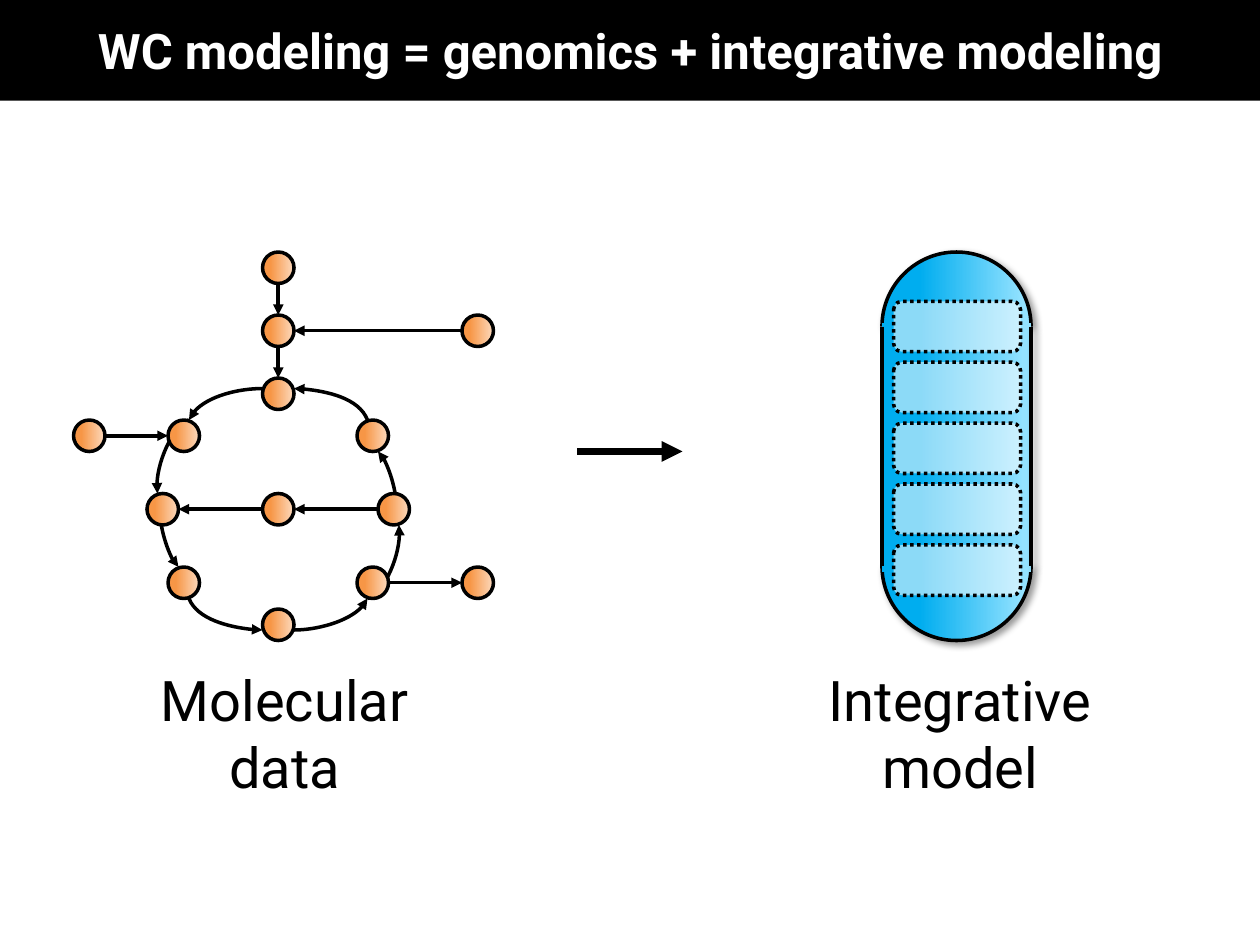
from lxml.etree import SubElement
from pptx import Presentation
from pptx.dml.color import RGBColor
from pptx.enum.dml import MSO_LINE_DASH_STYLE as DASH
from pptx.enum.shapes import MSO_CONNECTOR as LINK, MSO_SHAPE as SHAPE
from pptx.enum.text import MSO_ANCHOR as ANCHOR, MSO_AUTO_SIZE as FIT, PP_ALIGN as ALIGN
from pptx.oxml.ns import qn
from pptx.util import Inches, Pt

rgb = RGBColor.from_string
CELL = Inches(1) // 12  # the drawing sits on a grid of 12 cells to the inch


def cells(*values):
    return [round(value * CELL) for value in values]


def add_curve(shapes, start, *points):
    """Open Bezier path: each three points are two handles and an end."""
    builder = shapes.build_freeform(*cells(*start), scale=1.0)
    builder.add_line_segments([cells(*point) for point in points], close=False)
    shape = builder.convert_to_shape()
    outline = next(shape._element.iter(qn("a:path")))
    for index, segment in enumerate(outline.findall(qn("a:lnTo"))):
        if index % 3 == 0:
            bezier = SubElement(outline, qn("a:cubicBezTo"))
        bezier.append(segment[0])
        outline.remove(segment)
    return shape


deck = Presentation()
deck.slide_width, deck.slide_height = Inches(10), Inches(7.5)
page = deck.slides.add_slide(deck.slide_layouts[6])
strokes = []    # (shape, width, arrow, shadow)
gradients = []  # (shape, left colour, right colour)

# Title bar
bar = page.shapes.add_shape(SHAPE.RECTANGLE, 0, 0, deck.slide_width, Inches(0.8))
bar.shadow.inherit = False
bar.fill.solid()
bar.fill.fore_color.rgb = rgb("000000")
bar.line.fill.background()

# Network: straight edges
network = page.shapes.add_group_shape().shapes
for ends in [
    (26.5, 27, 26.5, 30), (26.5, 33, 26.5, 36),
    (37, 55.5, 44, 55.5), (44, 31.5, 28, 31.5), (10, 41.5, 16, 41.5),
    (36, 48.5, 28, 48.5), (25, 48.5, 17, 48.5),
]:
    edge = network.add_connector(LINK.STRAIGHT, *cells(*ends))
    strokes.append((edge, 2, True, False))

# Network: curved edges of the cycle
for points in [
    [(35, 40), (34.2, 37.9), (30.1, 37), (28, 37)],
    [(25, 37), (22.8, 37), (18.8, 37.9), (18, 40)],
    [(18, 40), (16.7, 40.4), (14.6, 44.4), (15, 47)],
    [(15.2, 47), (15, 49.6), (16.2, 53.6), (17, 54)],
    [(18, 57), (18.8, 59), (22.8, 60), (25, 60)],
    [(28, 60), (30.1, 60), (34.2, 59), (35, 57)],
    [(35, 57), (36.4, 56.6), (38.4, 52.6), (38, 50)],
    [(37.8, 50), (38, 47.4), (36.8, 43.4), (36, 43)],
]:
    edge = add_curve(network, *points)
    edge.fill.background()
    strokes.append((edge, 2, True, False))

# Network: nodes
for left, top in [
    (7, 40), (44, 30), (44, 54), (25, 24), (25, 30), (25, 36), (25, 47),
    (25, 58), (34, 40), (16, 54), (16, 40), (34, 54), (14, 47), (36, 47),
]:
    node = network.add_shape(SHAPE.OVAL, *cells(left, top, 3, 3))
    gradients.append((node, "F79646", "FCD5B5"))
    strokes.append((node, 2, False, False))

# Arrow from data to model
arrow = page.shapes.add_connector(LINK.STRAIGHT, *cells(55, 43, 65, 43))
strokes.append((arrow, 4, True, False))

# Capsule: two half-round caps, body, side walls
capsule = page.shapes.add_group_shape().shapes
left, right, upper, lower = 84, 98.2, 31.1, 53.9
radius = (right - left) / 2
middle, handle = left + radius, 0.55 * radius
for base, rise in [(upper, -1), (lower, 1)]:
    peak, bend = base + rise * radius, base + rise * handle
    cap = add_curve(
        capsule, (left, base),
        (left, bend), (middle - handle, peak), (middle, peak),
        (middle + handle, peak), (right, bend), (right, base))
    gradients.append((cap, "00ADEF", "93E2FF"))
    strokes.append((cap, 2, False, True))
body = capsule.add_shape(
    SHAPE.RECTANGLE, *cells(left, upper - 0.3, right - left, lower - upper + 0.9))
body.shadow.inherit = False
body.line.fill.background()
gradients.append((body, "00ADEF", "93E2FF"))
for side, shadow in [(left, False), (right, True)]:
    wall = capsule.add_connector(LINK.STRAIGHT, *cells(side, upper, side, lower))
    strokes.append((wall, 2, False, shadow))

# Capsule: five dotted slots
for row in range(5):
    slot = capsule.add_shape(
        SHAPE.ROUNDED_RECTANGLE, *cells(85.1, 28.7 + 5.8 * row, 12.1, 4.8))
    slot.fill.solid()
    slot.fill.fore_color.rgb = rgb("FFFFFF")
    tint = next(slot._element.spPr.iter(qn("a:srgbClr")))
    SubElement(tint, qn("a:alpha"), val="55000")
    slot.line.dash_style = DASH.ROUND_DOT
    strokes.append((slot, 2, False, False))

# Gradients run from left to right
for shape, *colours in gradients:
    shape.fill.gradient()
    shape.fill.gradient_angle = 0
    for stop, colour, position in zip(shape.fill.gradient_stops, colours, (0.25, 0.95)):
        stop.color.rgb = rgb(colour)
        stop.position = position

# Black lines, arrowheads and shadows
for shape, width, arrowhead, shadow in strokes:
    shape.line.color.rgb = rgb("000000")
    shape.line.width = Pt(width)
    properties = shape._element.spPr
    if arrowhead:
        SubElement(properties.find(qn("a:ln")), qn("a:tailEnd"), type="triangle")
    effects = SubElement(properties, qn("a:effectLst"))
    if shadow:
        outer = SubElement(
            effects, qn("a:outerShdw"), blurRad=str(Pt(4)), dist=str(Pt(3)),
            dir=str(45 * 60000), algn="tl", rotWithShape="0")
        shade = SubElement(outer, qn("a:srgbClr"), val="000000")
        SubElement(shade, qn("a:alpha"), val="40000")

# Title and captions
texts = [(bar, "WC modeling = genomics + integrative modeling", 28, True, "FFFFFF")]
for centre, width, caption in [
    (2.26, 3, "Molecular data"), (7.62, 3.4, "Integrative model"),
]:
    box = page.shapes.add_textbox(
        Inches(centre - width / 2), Inches(5.23), Inches(width), Inches(1.17))
    box.text_frame.auto_size = FIT.SHAPE_TO_FIT_TEXT
    texts.append((box, caption, 32, False, "000000"))
for box, words, size, bold, colour in texts:
    frame = box.text_frame
    frame.word_wrap = True
    para = frame.paragraphs[0]
    para.alignment = ALIGN.CENTER
    span = para.add_run()
    span.text = words
    for name, value in {"name": "Roboto", "size": Pt(size), "bold": bold}.items():
        setattr(span.font, name, value)
    span.font.color.rgb = rgb(colour)
bar.text_frame.vertical_anchor = ANCHOR.MIDDLE
for margin in ("left", "top", "right", "bottom"):
    setattr(bar.text_frame, f"margin_{margin}", 0)

deck.save("out.pptx")
